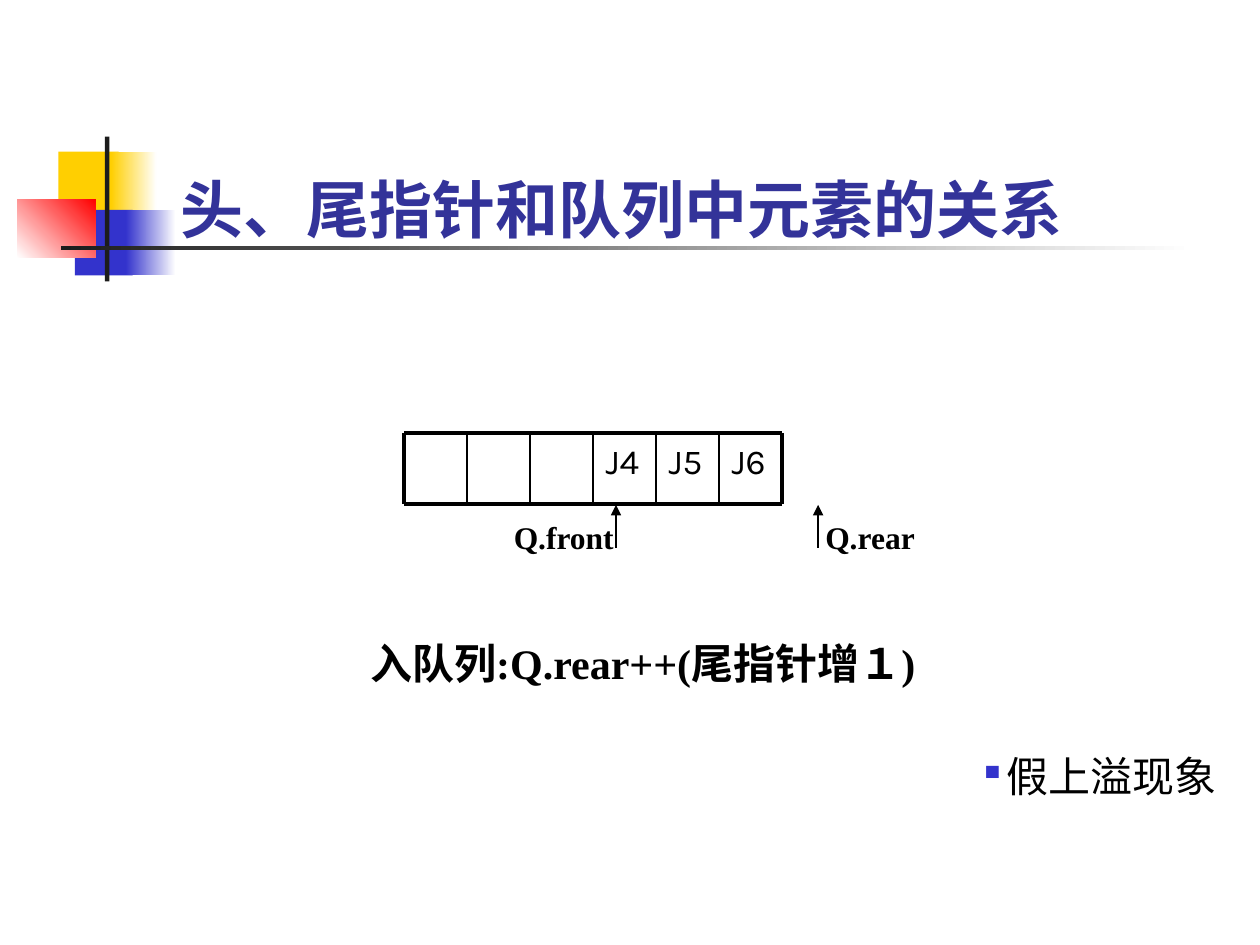
import lxml.etree
import pptx
import pptx.dml.color
import pptx.enum.shapes
import pptx.enum.text
import pptx.oxml.ns
import pptx.util

Pt = pptx.util.Pt
qn = pptx.oxml.ns.qn
SHAPES = pptx.enum.shapes.MSO_SHAPE
ANCHOR = pptx.enum.text.MSO_ANCHOR
ALIGN = pptx.enum.text.PP_ALIGN
AUTO = pptx.enum.text.MSO_AUTO_SIZE
SERIF = "Times New Roman"
SANS = "Karla"


def rgb(color):
    return pptx.dml.color.RGBColor.from_string(color)


def add_bullet(p, char, color, percent, indent):
    pPr = p._p.get_or_add_pPr()
    pPr.set("marL", str(Pt(indent)))
    pPr.set("indent", str(-Pt(indent)))
    clr = lxml.etree.SubElement(pPr, qn("a:buClr"))
    lxml.etree.SubElement(clr, qn("a:srgbClr"), val=color)
    lxml.etree.SubElement(pPr, qn("a:buSzPct"), val=str(percent * 1000))
    lxml.etree.SubElement(pPr, qn("a:buChar"), char=char)


def write(sp, text, size, font=SANS, color="000000", bold=False, wrap=True,
          grow=False, anchor=ANCHOR.TOP, align=ALIGN.LEFT, spacing=None, bullet=None):
    tf = sp.text_frame
    tf.word_wrap = wrap
    tf.auto_size = AUTO.SHAPE_TO_FIT_TEXT if grow else AUTO.NONE
    tf.vertical_anchor = anchor
    p = tf.paragraphs[0]
    if bullet:
        add_bullet(p, **bullet)
    p.alignment = align
    p.line_spacing = spacing
    r = p.add_run()
    r.text = text
    r.font.size = Pt(size)
    r.font.name = font
    r.font.bold = bold
    r.font.color.rgb = rgb(color)


def add_text(slide, box, text, size, **fmt):
    sp = slide.shapes.add_textbox(*map(Pt, box))
    write(sp, text, size, **fmt)


def add_block(slide, box, colors, angle=0):
    sp = slide.shapes.add_shape(SHAPES.RECTANGLE, *map(Pt, box))
    sp.shadow.inherit = False
    sp.line.fill.background()
    if len(colors) == 1:
        sp.fill.solid()
        sp.fill.fore_color.rgb = rgb(colors[0])
    else:
        sp.fill.gradient()
        sp.fill.gradient_angle = angle
        for stop, color in zip(sp.fill.gradient_stops, colors):
            stop.color.rgb = rgb(color)


def add_line(slide, x1, y1, x2, y2, width, arrow=False):
    ln = slide.shapes.add_connector(
        pptx.enum.shapes.MSO_CONNECTOR.STRAIGHT, *map(Pt, (x1, y1, x2, y2)))
    ln.line.color.rgb = rgb("000000")
    ln.line.width = Pt(width)
    if arrow:
        lxml.etree.SubElement(ln.line._get_or_add_ln(), qn("a:tailEnd"), type="triangle")
    lxml.etree.SubElement(ln._element.spPr, qn("a:effectLst"))


def add_ornament(slide, box):
    x, y, w, h = box
    blocks = [
        ((23.3, 8.6, 34.5, 37.4), ["FFCF01"], 0),
        ((53.5, 8.6, 26, 37.4), ["FFCF01", "FFFFFF"], 0),
        ((32.8, 42, 33, 37.4), ["3333CC"], 0),
        ((62, 42, 28.5, 37.4), ["3333CC", "FFFFFF"], 0),
        ((0, 35.8, 44.5, 33.5), ["FFFFFF", "FF0000"], 45),
        ((50, 0, 2.5, h), ["1C1C1C"], 0),
        ((25, 62.4, w - 25, 2.5), ["1C1C1C", "FFFFFF"], 0),
    ]
    for (dx, dy, bw, bh), colors, angle in blocks:
        add_block(slide, (x + dx, y + dy, bw, bh), colors, angle)


def add_title(slide, box, text):
    sp = slide.shapes.title
    sp.left, sp.top, sp.width, sp.height = map(Pt, box)
    write(sp, text, 36, color="333399", bold=True, anchor=ANCHOR.BOTTOM)


def add_queue(slide, box, items):
    x, y, w, h = box
    step = w / len(items)
    for i, item in enumerate(items):
        if item:
            add_text(slide, (x + i * step, y, step, h), item, 20)
    for edge in (y, y + h):
        add_line(slide, x, edge, x + w, edge, 2.25)
    for i in range(len(items) + 1):
        cx = x + i * step
        add_line(slide, cx, y, cx, y + h, 2.25 if i in (0, len(items)) else 1)


def add_pointer(slide, box, text, arrow_x, wrap):
    x, y, w, h = box
    add_text(slide, box, text, 18, font=SERIF, bold=True, wrap=wrap, grow=True)
    add_line(slide, arrow_x, y + 20.5, arrow_x, y - 4, 0.75, arrow=True)


def add_notes(slide, box):
    x, y, w, h = box
    add_text(slide, (x, y, 343.5, 36), "入队列:Q.rear++(尾指针增１)", 24,
             font=SERIF, bold=True, wrap=False, grow=True)
    add_text(slide, (x + w - 168, y + h - 33, 168, 33), "假上溢现象", 24,
             grow=True, align=ALIGN.JUSTIFY, spacing=0.9,
             bullet=dict(char="▪", color="3333CC", percent=90, indent=16))


def main():
    prs = pptx.Presentation()
    prs.slide_width, prs.slide_height = Pt(720), Pt(540)
    slide = prs.slides.add_slide(prs.slide_layouts[5])
    add_ornament(slide, (10, 78, 672.5, 82.8))
    add_title(slide, (96, 54, 546, 90), "头、尾指针和队列中元素的关系")
    add_queue(slide, (231, 247.5, 216, 40.5), ["", "", "", "J4", "J5", "J6"])
    add_pointer(slide, (286.5, 292.5, 79, 29), "Q.front", 352, True)
    add_pointer(slide, (464.5, 292.5, 65.5, 29), "Q.rear", 467.5, False)
    add_notes(slide, (204.5, 361, 515.5, 100.5))
    prs.save("out.pptx")


if __name__ == "__main__":
    main()
